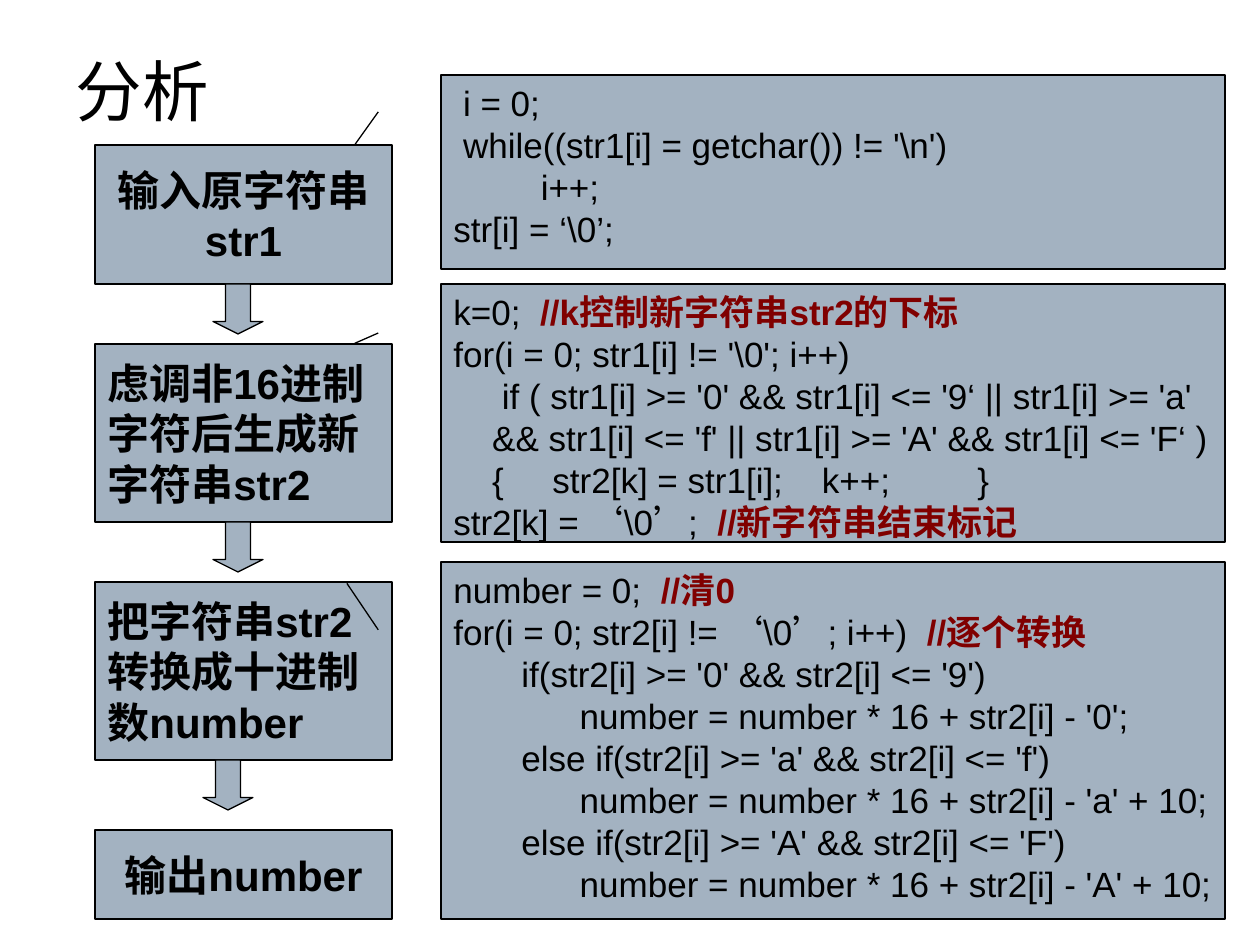
"""Build the analysis slide: flow steps on the left, code callouts on the right."""
from dataclasses import dataclass

import pptx
import pptx.dml.color
import pptx.enum.shapes
import pptx.enum.text
import pptx.util

KIND = pptx.enum.shapes.MSO_SHAPE
ALIGN = pptx.enum.text.PP_ALIGN
ANCHOR = pptx.enum.text.MSO_ANCHOR
SIZE = pptx.enum.text.MSO_AUTO_SIZE
RGB = pptx.dml.color.RGBColor.from_string


@dataclass(frozen=True)
class Theme:
    fill: str = "A3B2C1"
    ink: str = "000000"
    note: str = "800000"
    sans: str = "Arial"
    serif: str = "Times New Roman"
    head: int = 38
    step: int = 24
    code: int = 20


@dataclass(frozen=True)
class Step:
    top: int
    high: int
    lines: tuple[str, ...]
    align: ALIGN


@dataclass(frozen=True)
class Code:
    top: int
    high: int
    tip: tuple[float, float]
    lines: tuple[str, ...]


THEME = Theme()
STEPS = (
    Step(145, 139, ("输入原字符串", "str1"), ALIGN.CENTER),
    Step(344, 178, ("虑调非16进制", "字符后生成新", "字符串str2"), ALIGN.LEFT),
    Step(582, 178, ("把字符串str2", "转换成十进制", "数number"), ALIGN.LEFT),
    Step(830, 89, ("输出number",), ALIGN.CENTER),
)
ARROWS = (213, 213, 203)
CODES = (
    Code(75, 194, (0.36, -0.11), (
        " i = 0;",
        r" while((str1[i] = getchar()) != '\n')",
        "         i++;",
        r"str[i] = ‘\0’;",
    )),
    Code(284, 258, (0.23, -0.11), (
        "k=0;  //k控制新字符串str2的下标",
        r"for(i = 0; str1[i] != '\0'; i++)",
        "     if ( str1[i] >= '0' && str1[i] <= '9‘ || str1[i] >= 'a'",
        "    && str1[i] <= 'f' || str1[i] >= 'A' && str1[i] <= 'F‘ )",
        "    {     str2[k] = str1[i];    k++;         }",
        r"str2[k] = ‘\0’;  //新字符串结束标记",
    )),
    Code(562, 357, (0.06, -0.12), (
        "number = 0;  //清0",
        r"for(i = 0; str2[i] != ‘\0’; i++)  //逐个转换",
        "       if(str2[i] >= '0' && str2[i] <= '9')",
        "             number = number * 16 + str2[i] - '0';",
        "       else if(str2[i] >= 'a' && str2[i] <= 'f')",
        "             number = number * 16 + str2[i] - 'a' + 10;",
        "       else if(str2[i] >= 'A' && str2[i] <= 'F')",
        "             number = number * 16 + str2[i] - 'A' + 10;",
    )),
)


def px(n: int) -> pptx.util.Emu:
    return pptx.util.Emu(round(n * 914400 / 126))


def put(obj, vals: dict) -> None:
    for name, val in vals.items():
        setattr(obj, name, val)


def add_run(para, text: str, size: int, color: str, bold: bool, face: str) -> None:
    run = para.add_run()
    run.text = text
    put(run.font, {"size": pptx.util.Pt(size), "bold": bold, "name": face})
    run.font.color.rgb = RGB(color)


def add_paras(frame, lines: tuple[str, ...], align: ALIGN):
    for i, line in enumerate(lines):
        para = frame.paragraphs[0] if i == 0 else frame.add_paragraph()
        para.alignment = align
        yield para, line


def add_box(slide, kind: KIND, box: tuple[int, ...], adj: tuple[float, ...] = ()):
    shape = slide.shapes.add_shape(kind, *map(px, box))
    shape.shadow.inherit = False
    shape.fill.solid()
    shape.fill.fore_color.rgb = RGB(THEME.fill)
    shape.line.color.rgb = RGB(THEME.ink)
    shape.line.width = pptx.util.Pt(0.75)
    for i, val in enumerate(adj):
        shape.adjustments[i] = val
    return shape


def add_title(slide, text: str) -> None:
    title = slide.shapes.title
    put(title, {"left": px(63), "top": px(14), "width": px(200), "height": px(122)})
    frame = title.text_frame
    put(frame, {"vertical_anchor": ANCHOR.BOTTOM, "auto_size": SIZE.NONE})
    for para, line in add_paras(frame, (text,), ALIGN.LEFT):
        add_run(para, line, THEME.head, THEME.ink, False, THEME.serif)


def add_step(slide, step: Step) -> None:
    shape = add_box(slide, KIND.FLOWCHART_PROCESS, (95, step.top, 297, step.high))
    frame = shape.text_frame
    put(frame, {"vertical_anchor": ANCHOR.MIDDLE, "word_wrap": False})
    for para, line in add_paras(frame, step.lines, step.align):
        add_run(para, line, THEME.step, THEME.ink, True, THEME.sans)


def add_code(slide, code: Code) -> None:
    shape = add_box(slide, KIND.LINE_CALLOUT_1, (441, code.top, 784, code.high),
                    (0.19, -0.08, *code.tip))
    frame = shape.text_frame
    put(frame, {"vertical_anchor": ANCHOR.TOP, "word_wrap": True})
    for para, line in add_paras(frame, code.lines, ALIGN.LEFT):
        text, mark, note = line.partition("//")
        add_run(para, text, THEME.code, THEME.ink, False, THEME.sans)
        if mark:
            add_run(para, mark + note, THEME.code, THEME.note, True, THEME.sans)


def main() -> None:
    deck = pptx.Presentation()
    put(deck, {"slide_width": px(1260), "slide_height": px(945)})
    slide = deck.slides.add_slide(deck.slide_layouts[5])
    add_title(slide, "分析")
    for step in STEPS:
        add_step(slide, step)
    for code in CODES:
        add_code(slide, code)
    for left, step in zip(ARROWS, STEPS):
        add_box(slide, KIND.DOWN_ARROW, (left, step.top + step.high, 50, 50), (0.5, 0.25))
    deck.save("out.pptx")


if __name__ == "__main__":
    main()
